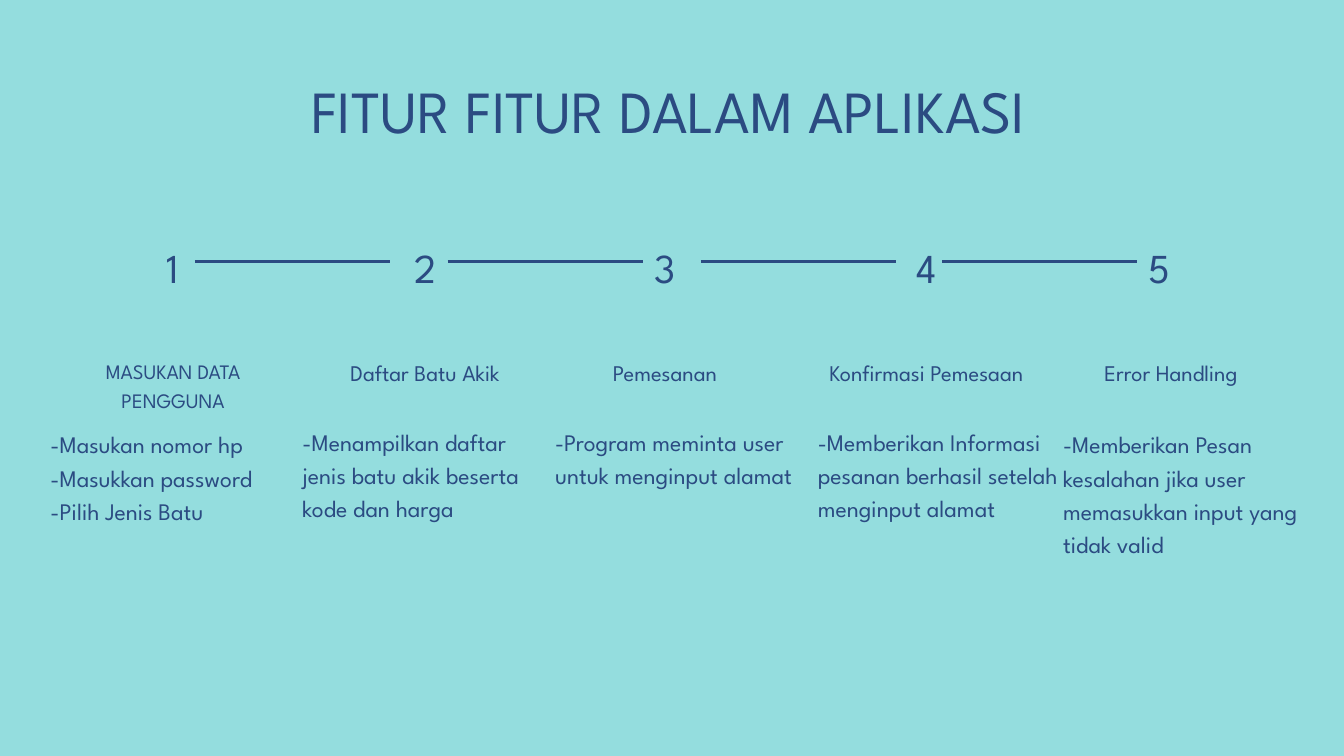
from pptx import Presentation
from pptx.dml.color import RGBColor
from pptx.enum.shapes import MSO_CONNECTOR
from pptx.enum.text import MSO_AUTO_SIZE, PP_ALIGN
from pptx.oxml.ns import qn
from pptx.util import Inches, Pt
from lxml import etree

STRAIGHT = MSO_CONNECTOR.STRAIGHT
FIT = MSO_AUTO_SIZE.SHAPE_TO_FIT_TEXT
LEFT, CENTER = PP_ALIGN.LEFT, PP_ALIGN.CENTER

AQUA = RGBColor(0x94, 0xDD, 0xDE)
NAVY = RGBColor(0x2B, 0x4B, 0x82)
FONT = "League Spartan"

NUMBER_TOP, NUMBER_W, NUMBER_H = 3.48, 0.66, 0.82
LINE_Y, LINE_W = NUMBER_TOP + NUMBER_H / 2, 2.9
LEFT_SIDE, RIGHT_SIDE = 1, 3

# Each step: centre of its number, heading (text, box, size, spacing), body (lines, box)
STEPS = [
    (2.57, ("MASUKAN DATA PENGGUNA", (1.23, 5.28, 2.69, 0.85), 22, 30.8),
     (["-Masukan nomor hp", "-Masukkan password", "-Pilih Jenis Batu"],
      (0.75, 6.33, 3.65, 1.45))),
    (6.33, ("Daftar Batu Akik", (5.01, 5.27, 2.63, 0.93), 24, 33.6),
     (["-Menampilkan daftar jenis batu akik beserta kode dan harga"],
      (4.5, 6.29, 3.65, 1.45))),
    (9.9, ("Pemesanan", (8.55, 5.27, 2.69, 0.47), 24, 33.6),
     (["-Program meminta user untuk menginput alamat"],
      (8.26, 6.29, 3.65, 1.45))),
    (13.79, ("Konfirmasi Pemesaan", (12.32, 5.27, 2.93, 0.93), 24, 33.6),
     (["-Memberikan Informasi pesanan berhasil setelah menginput alamat"],
      (12.17, 6.29, 3.65, 1.94))),
    (17.25, ("Error Handling", (16.08, 5.27, 2.69, 0.47), 24, 33.6),
     (["-Memberikan Pesan kesalahan jika user memasukkan input yang tidak valid"],
      (15.82, 6.33, 3.65, 1.94))),
]

# Each line: left end, step it starts from, step it ends at (None where it stops short)
LINES = [(2.9, 0, None), (6.67, 1, 2), (10.43, None, None), (14.02, None, 4)]


def add_text(s, box, lines, size, spacing, align=CENTER, tracking=None):
    sp = s.shapes.add_textbox(*map(Inches, box))
    tf = sp.text_frame
    frame = dict(margin_left=0, margin_top=0, margin_right=0, margin_bottom=0,
                 word_wrap=True, auto_size=FIT)
    for name, value in frame.items():
        setattr(tf, name, value)
    for i, line in enumerate(lines):
        p = tf.add_paragraph() if i else tf.paragraphs[0]
        p.alignment = align
        p.line_spacing = Pt(spacing)
        r = p.add_run()
        r.text = line
        for name, value in dict(name=FONT, size=Pt(size)).items():
            setattr(r.font, name, value)
        r.font.color.rgb = NAVY
        if tracking:
            r.font._element.set("spc", str(int(tracking * 100)))
    return sp


def add_step(s, centre, heading, body):
    """Place one step and return its number box."""
    text, box, size, spacing = heading
    add_text(s, box, [text], size, spacing)
    lines, box = body
    add_text(s, box, lines, 25.4, 35.6, LEFT)
    number_box = (centre - NUMBER_W / 2, NUMBER_TOP, NUMBER_W, NUMBER_H)
    return number_box


def add_timeline(s, numbers):
    """Join the step numbers with lines."""
    for left, start, end in LINES:
        line = s.shapes.add_connector(STRAIGHT, Inches(left), Inches(LINE_Y),
                                      Inches(left + LINE_W), Inches(LINE_Y))
        if start is not None:
            line.begin_connect(numbers[start], RIGHT_SIDE)
        if end is not None:
            line.end_connect(numbers[end], LEFT_SIDE)
        line.line.color.rgb = NAVY
        line.line.width = Pt(3)
        etree.SubElement(line._element.spPr, qn("a:effectLst"))


def main():
    prs = Presentation()
    prs.slide_width, prs.slide_height = Inches(20), Inches(11.25)
    s = prs.slides.add_slide(prs.slide_layouts[6])
    s.background.fill.solid()
    s.background.fill.fore_color.rgb = AQUA

    # Title
    add_text(s, (1.12, 1.1, 17.65, 1.08), ["FITUR FITUR DALAM APLIKASI"], 64, 76.8)

    # Steps with their numbers, then the lines between them
    numbers = []
    for i, step in enumerate(STEPS, 1):
        box = add_step(s, *step)
        numbers.append(add_text(s, box, [str(i)], 44, 61.6, tracking=7.5))
    add_timeline(s, numbers)

    prs.save("out.pptx")


if __name__ == "__main__":
    main()
